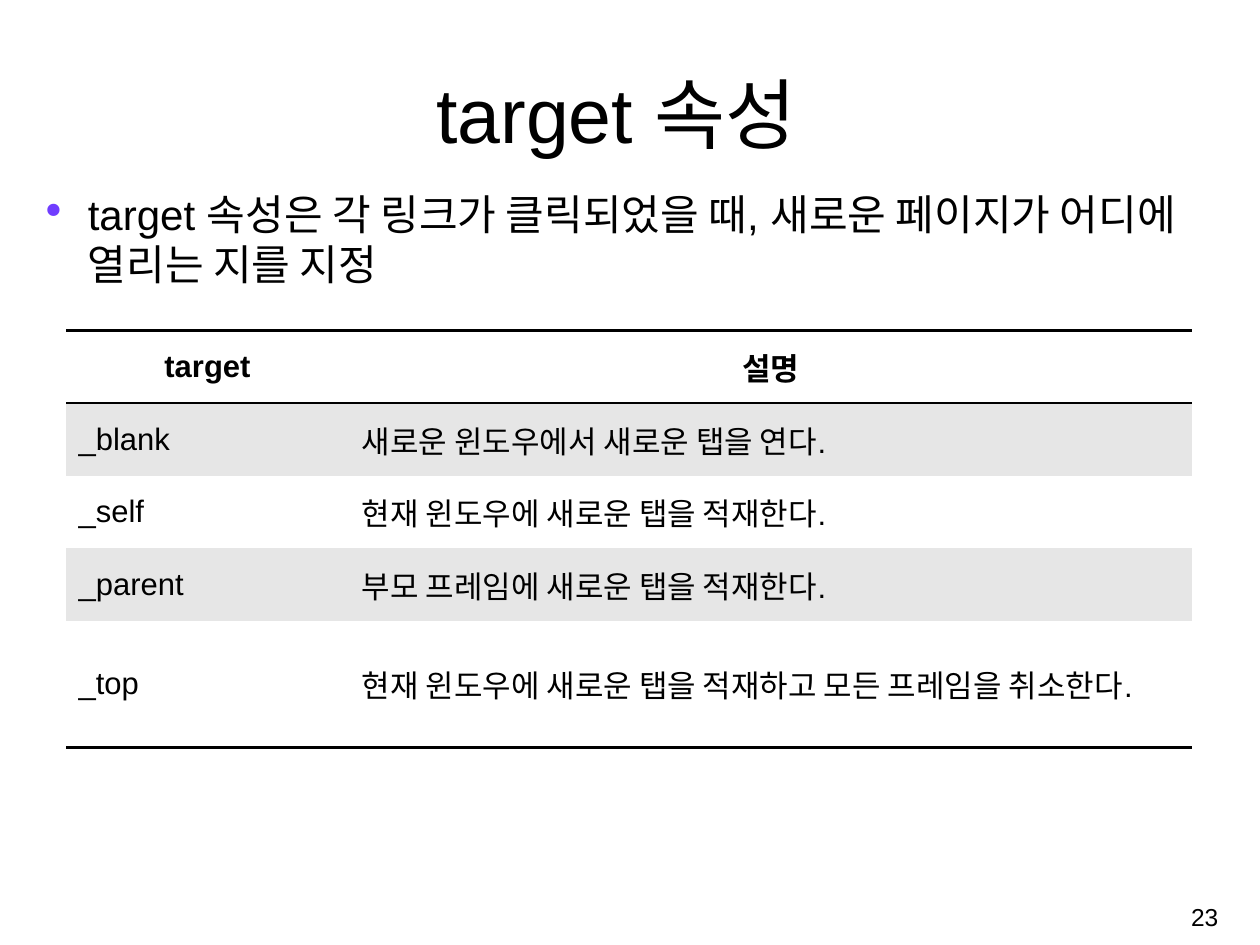
"""Builds a slide that explains the values of the target attribute in a table."""
from lxml import etree
from pptx import Presentation
from pptx.dml.color import RGBColor
from pptx.enum.text import MSO_ANCHOR, PP_ALIGN
from pptx.oxml.ns import qn
from pptx.util import Cm, Pt

LEFT, CENTER, RIGHT = PP_ALIGN.LEFT, PP_ALIGN.CENTER, PP_ALIGN.RIGHT
TOP, MIDDLE, BOTTOM = MSO_ANCHOR.TOP, MSO_ANCHOR.MIDDLE, MSO_ANCHOR.BOTTOM

TITLE = "target 속성"
SUMMARY = "target 속성은 각 링크가 클릭되었을 때, 새로운 페이지가 어디에 열리는 지를 지정"
PAGE_NUMBER = "23"
TARGETS = [
    ("target", "설명"),
    ("_blank", "새로운 윈도우에서 새로운 탭을 연다."),
    ("_self", "현재 윈도우에 새로운 탭을 적재한다."),
    ("_parent", "부모 프레임에 새로운 탭을 적재한다."),
    ("_top", "현재 윈도우에 새로운 탭을 적재하고 모든 프레임을 취소한다."),
]
COLUMN_WIDTHS = (7.41, 22.09)
ROW_HEIGHTS = (1.9, 1.9, 1.9, 1.9, 3.32)

THEME = {
    "font": "Arial", "ink": "000000", "bullet": "703DFF",
    "plain": "FFFFFF", "band": "E6E6E6", "rule": Pt(2),
    "title": Pt(57.2), "summary": Pt(31.2), "cell": Pt(23), "page": Pt(18.2),
}


def write(frame, text, size, align=LEFT, bold=False):
    paragraph = frame.paragraphs[0]
    paragraph.alignment = align
    run = paragraph.add_run()
    run.text = text
    run.font.name = THEME["font"]
    run.font.size = size
    run.font.bold = bold
    run.font.color.rgb = RGBColor.from_string(THEME["ink"])
    return paragraph


def add_text(slide, place, text, size, align=LEFT, anchor=TOP):
    frame = slide.shapes.add_textbox(*map(Cm, place)).text_frame
    frame.word_wrap = True
    frame.vertical_anchor = anchor
    return write(frame, text, size, align)


def add_bullet(paragraph, indent):
    properties = paragraph._p.get_or_add_pPr()
    properties.set("marL", str(indent))
    properties.set("indent", str(-indent))
    color = etree.SubElement(properties, qn("a:buClr"))
    etree.SubElement(color, qn("a:srgbClr"), val=THEME["bullet"])
    etree.SubElement(properties, qn("a:buChar"), char="∙")


def set_borders(cell, ruled):
    properties = cell._tc.get_or_add_tcPr()
    for side in ("lnL", "lnR", "lnT", "lnB"):
        if side in ruled:
            line = etree.SubElement(properties, qn(f"a:{side}"), w=str(THEME["rule"]))
            fill = etree.SubElement(line, qn("a:solidFill"))
            etree.SubElement(fill, qn("a:srgbClr"), val=THEME["ink"])
        else:
            line = etree.SubElement(properties, qn(f"a:{side}"), w="0")
            etree.SubElement(line, qn("a:noFill"))


def add_targets(slide, left, top):
    table = slide.shapes.add_table(
        len(TARGETS), len(COLUMN_WIDTHS), Cm(left), Cm(top),
        Cm(sum(COLUMN_WIDTHS)), Cm(sum(ROW_HEIGHTS))).table
    table.first_row = table.horz_banding = False
    for column, width in zip(table.columns, COLUMN_WIDTHS):
        column.width = Cm(width)
    for row, height in zip(table.rows, ROW_HEIGHTS):
        row.height = Cm(height)
    for row, texts in enumerate(TARGETS):
        header = row == 0
        ruled = {0: ("lnT", "lnB"), 1: ("lnT",), len(TARGETS) - 1: ("lnB",)}.get(row, ())
        for column, text in enumerate(texts):
            cell = table.cell(row, column)
            set_borders(cell, ruled)
            cell.fill.solid()
            cell.fill.fore_color.rgb = RGBColor.from_string(THEME["band" if row % 2 else "plain"])
            cell.vertical_anchor = MIDDLE
            cell.margin_left = cell.margin_right = Cm(0.33)
            cell.margin_top = cell.margin_bottom = Cm(0.16)
            write(cell.text_frame, text, THEME["cell"], CENTER if header else LEFT, header)


def main():
    deck = Presentation()
    deck.slide_width, deck.slide_height = Cm(33), Cm(24.75)
    slide = deck.slides.add_slide(deck.slide_layouts[6])
    add_text(slide, (2.67, 1.55, 26.95, 2.74), TITLE, THEME["title"], CENTER, BOTTOM)
    summary = add_text(slide, (0.81, 4.8, 31.29, 17.93), SUMMARY, THEME["summary"])
    add_bullet(summary, Cm(1.24))
    add_targets(slide, 1.73, 8.66)
    add_text(slide, (25.35, 23.24, 6.81, 1.52), PAGE_NUMBER, THEME["page"], RIGHT, MIDDLE)
    deck.save("out.pptx")


if __name__ == "__main__":
    main()
